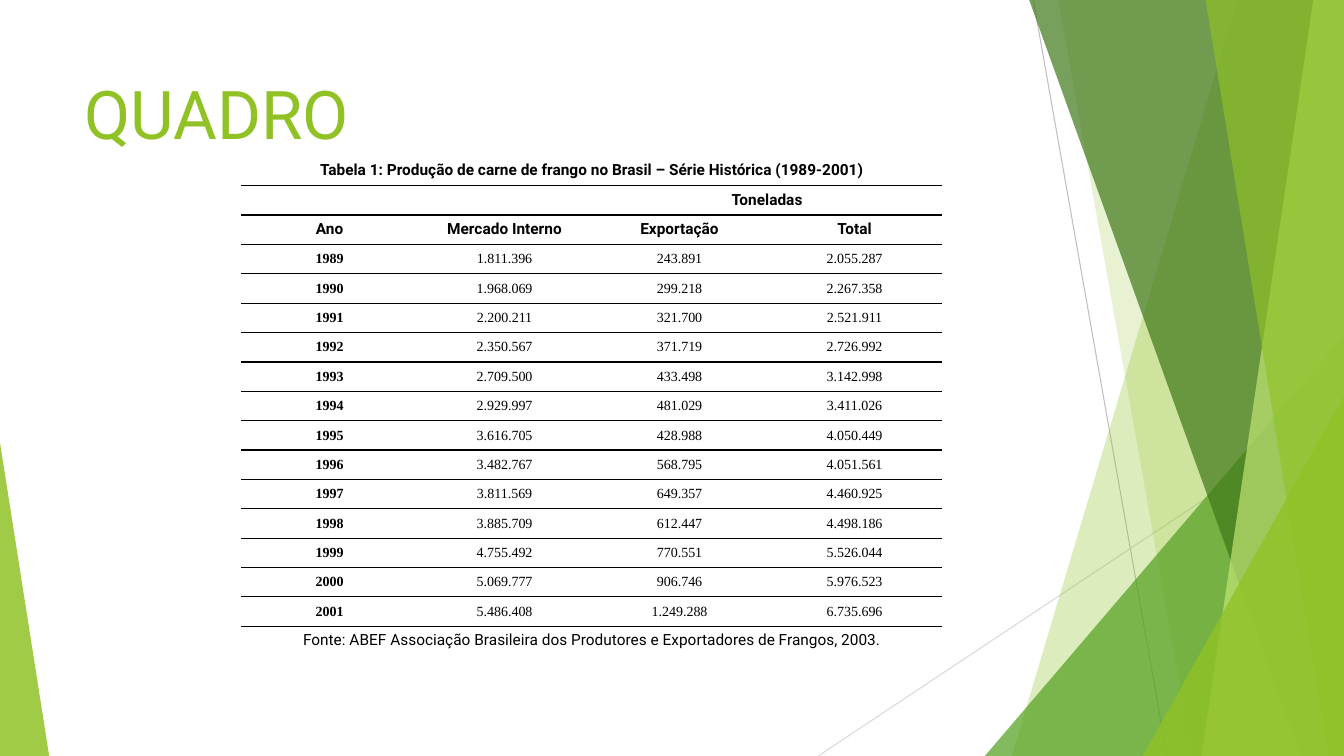
from lxml import etree
from pptx import Presentation, util as u
from pptx.dml.color import RGBColor
from pptx.enum import shapes, text
from pptx.oxml.ns import qn

WHITE = RGBColor(0xFF, 0xFF, 0xFF)
BLACK = RGBColor(0, 0, 0)
LIME = RGBColor(0x90, 0xC2, 0x26)
PALE_LIME = RGBColor(0xC0, 0xE4, 0x74)
GREEN = RGBColor(0x54, 0xA0, 0x21)
DARK_GREEN = RGBColor(0x3F, 0x78, 0x19)
GREY = RGBColor(0xBF, 0xBF, 0xBF)
LIGHT_GREY = RGBColor(0xD9, 0xD9, 0xD9)

WIDTH, HEIGHT = 33.87, 19.05
BLEED = -0.02
NO_GRID_STYLE = "{2D5ABB26-0587-4C30-8999-92F81FD0307C}"

CAPTION = "Tabela 1: Produção de carne de frango no Brasil – Série Histórica (1989-2001)"
SOURCE = "Fonte: ABEF Associação Brasileira dos Produtores e Exportadores de Frangos, 2003."
HEADINGS = ["Ano", "Mercado Interno", "Exportação", "Total"]
PRODUCTION = [
    ["1989", "1.811.396", "243.891", "2.055.287"],
    ["1990", "1.968.069", "299.218", "2.267.358"],
    ["1991", "2.200.211", "321.700", "2.521.911"],
    ["1992", "2.350.567", "371.719", "2.726.992"],
    ["1993", "2.709.500", "433.498", "3.142.998"],
    ["1994", "2.929.997", "481.029", "3.411.026"],
    ["1995", "3.616.705", "428.988", "4.050.449"],
    ["1996", "3.482.767", "568.795", "4.051.561"],
    ["1997", "3.811.569", "649.357", "4.460.925"],
    ["1998", "3.885.709", "612.447", "4.498.186"],
    ["1999", "4.755.492", "770.551", "5.526.044"],
    ["2000", "5.069.777", "906.746", "5.976.523"],
    ["2001", "5.486.408", "1.249.288", "6.735.696"],
]


class SlideBuilder:
    heading_font = "Roboto"
    figure_font = "Times New Roman"

    def __init__(self, slide):
        self.slide = slide

    def line(self, x1, y1, x2, y2, color):
        line = self.slide.shapes.add_connector(
            shapes.MSO_CONNECTOR.STRAIGHT, u.Cm(x1), u.Cm(y1), u.Cm(x2), u.Cm(y2))
        line.line.color.rgb = color
        line.line.width = u.Pt(0.75)
        etree.SubElement(line._element.spPr, qn("a:effectLst"))

    def paint(self, shape, color, opacity):
        shape.shadow.inherit = False
        shape.line.fill.background()
        shape.fill.solid()
        shape.fill.fore_color.rgb = color
        tint = shape._element.spPr.find(qn("a:solidFill"))[0]
        etree.SubElement(tint, qn("a:alpha"), val=str(opacity * 1000))

    def facet(self, top_x, bottom_x, color, opacity):
        """Four-sided band from a slanted left edge to the slide's right edge."""
        corners = [(u.Cm(x), u.Cm(y)) for x, y in (
            (top_x, BLEED), (WIDTH, BLEED), (WIDTH, HEIGHT), (bottom_x, HEIGHT))]
        outline = self.slide.shapes.build_freeform(*corners[0])
        outline.add_line_segments(corners[1:], close=True)
        self.paint(outline.convert_to_shape(), color, opacity)

    def triangle(self, left, top, right, apex, color, opacity):
        """Right triangle standing on the slide's bottom edge."""
        shape = self.slide.shapes.add_shape(
            shapes.MSO_SHAPE.ISOSCELES_TRIANGLE, u.Cm(left), u.Cm(top),
            u.Cm(right - left), u.Cm(HEIGHT - top))
        shape.adjustments[0] = apex
        self.paint(shape, color, opacity)

    def set_text(self, para, words, size, font, color, bold=False):
        para.text = words
        para.font.size = u.Pt(size)
        para.font.name = font
        para.font.color.rgb = color
        para.font.bold = bold

    def title(self, words, left, top, width, height):
        box = self.slide.shapes.add_textbox(u.Cm(left), u.Cm(top), u.Cm(width), u.Cm(height))
        box.text_frame.word_wrap = True
        self.set_text(box.text_frame.paragraphs[0], words, 48, self.heading_font, LIME)

    def border(self, cell, side, color):
        edge = etree.SubElement(cell._tc.get_or_add_tcPr(), qn("a:ln" + side), w=str(u.Pt(1)))
        if color is None:
            etree.SubElement(edge, qn("a:noFill"))
        else:
            fill = etree.SubElement(edge, qn("a:solidFill"))
            etree.SubElement(fill, qn("a:srgbClr"), val=str(color))

    def table(self, rows, spans, left, top, column_width, row_height):
        count, columns = len(rows), len(rows[0])
        frame = self.slide.shapes.add_table(
            count, columns, u.Cm(left), u.Cm(top),
            u.Cm(column_width * columns), u.Cm(row_height * count))
        table = frame.table
        table.first_row = table.horz_banding = False
        table._tbl.tblPr.find(qn("a:tableStyleId")).text = NO_GRID_STYLE
        for column in table.columns:
            column.width = u.Cm(column_width)
        for r, row in enumerate(rows):
            table.rows[r].height = u.Cm(row_height)
            for c, words in enumerate(row):
                cell = table.cell(r, c)
                self.border(cell, "L", None if c else WHITE)
                self.border(cell, "R", None)
                self.border(cell, "T", BLACK if r else WHITE)
                self.border(cell, "B", WHITE if r == count - 1 else BLACK)
                cell.fill.background()
                self.cell_text(cell, words, r, c, is_source=r == count - 1)
        for r, first, last in spans:
            table.cell(r, first).merge(table.cell(r, last))

    def cell_text(self, cell, words, r, c, is_source):
        para = cell.text_frame.paragraphs[0]
        para.alignment = text.PP_ALIGN.CENTER
        if r < 3 or is_source:
            self.set_text(para, words, 11, self.heading_font, BLACK, bold=not is_source)
        else:
            cell.vertical_anchor = text.MSO_ANCHOR.MIDDLE
            cell.margin_left = cell.margin_right = u.Cm(0.08)
            cell.margin_top = cell.margin_bottom = 0
            self.set_text(para, words, 10, self.figure_font, BLACK, bold=c == 0)


def main():
    deck = Presentation()
    deck.slide_width, deck.slide_height = u.Cm(WIDTH), u.Cm(HEIGHT)
    page = SlideBuilder(deck.slides.add_slide(deck.slide_layouts[6]))

    # Decorative green facets
    page.line(26.04, 0, 29.41, HEIGHT, GREY)
    page.line(WIDTH, 10.24, 20.62, HEIGHT, LIGHT_GREY)
    page.facet(31.19, 25.5, LIME, 30)
    page.facet(26.67, 30.05, LIME, 20)
    page.triangle(24.82, 8.46, WIDTH, 1, GREEN, 72)
    page.facet(25.93, 32.79, DARK_GREEN, 70)
    page.facet(33.1, 30.28, PALE_LIME, 70)
    page.facet(30.38, 33.48, LIME, 65)
    page.triangle(28.8, 9.98, WIDTH, 1, LIME, 80)
    page.triangle(0, 11.15, 1.24, 0, LIME, 85)

    # Title
    page.title("QUADRO", 1.88, 1.7, 23.88, 3.66)

    # Production table with caption and source rows
    rows = [[CAPTION, "", "", ""], ["", "", "Toneladas", ""], HEADINGS,
            *PRODUCTION, [SOURCE, "", "", ""]]
    spans = [(0, 0, 3), (1, 2, 3), (len(rows) - 1, 0, 3)]
    page.table(rows, spans, left=6.1, top=3.94, column_width=4.41, row_height=0.74)

    deck.save("out.pptx")


if __name__ == "__main__":
    main()
